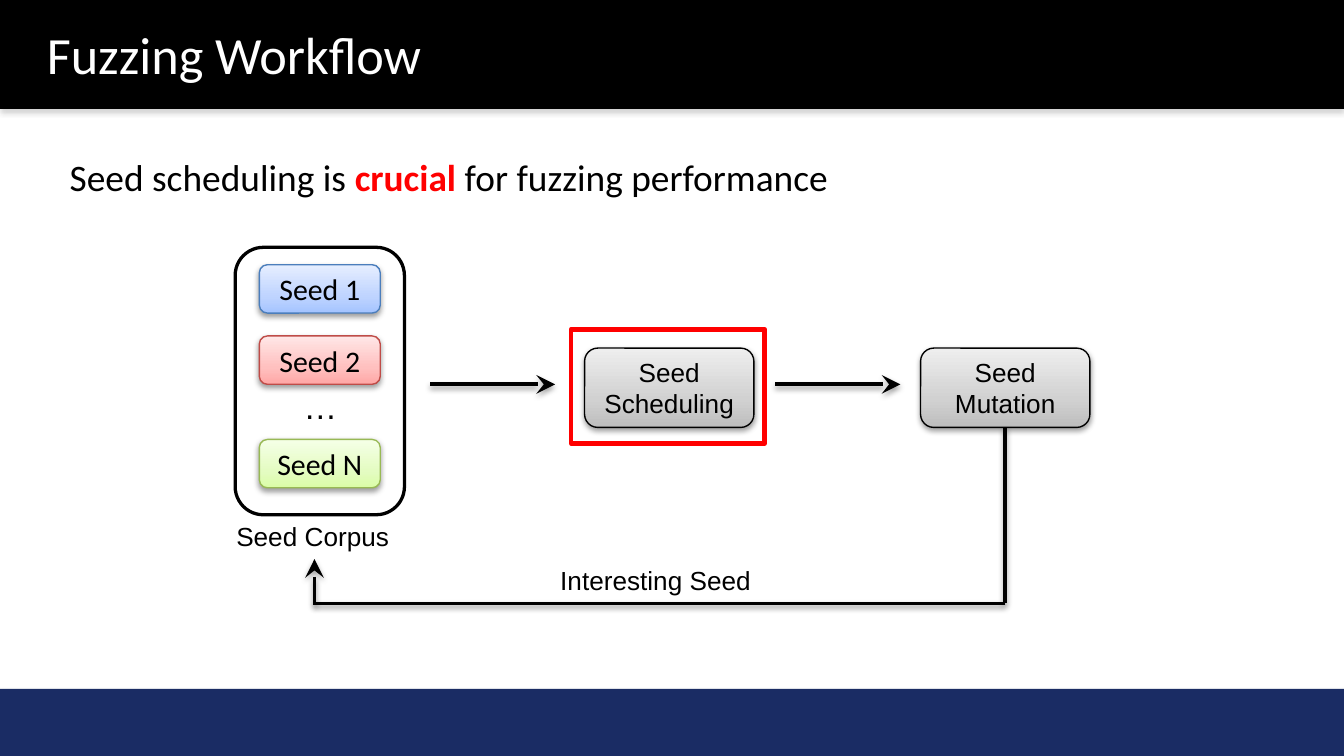
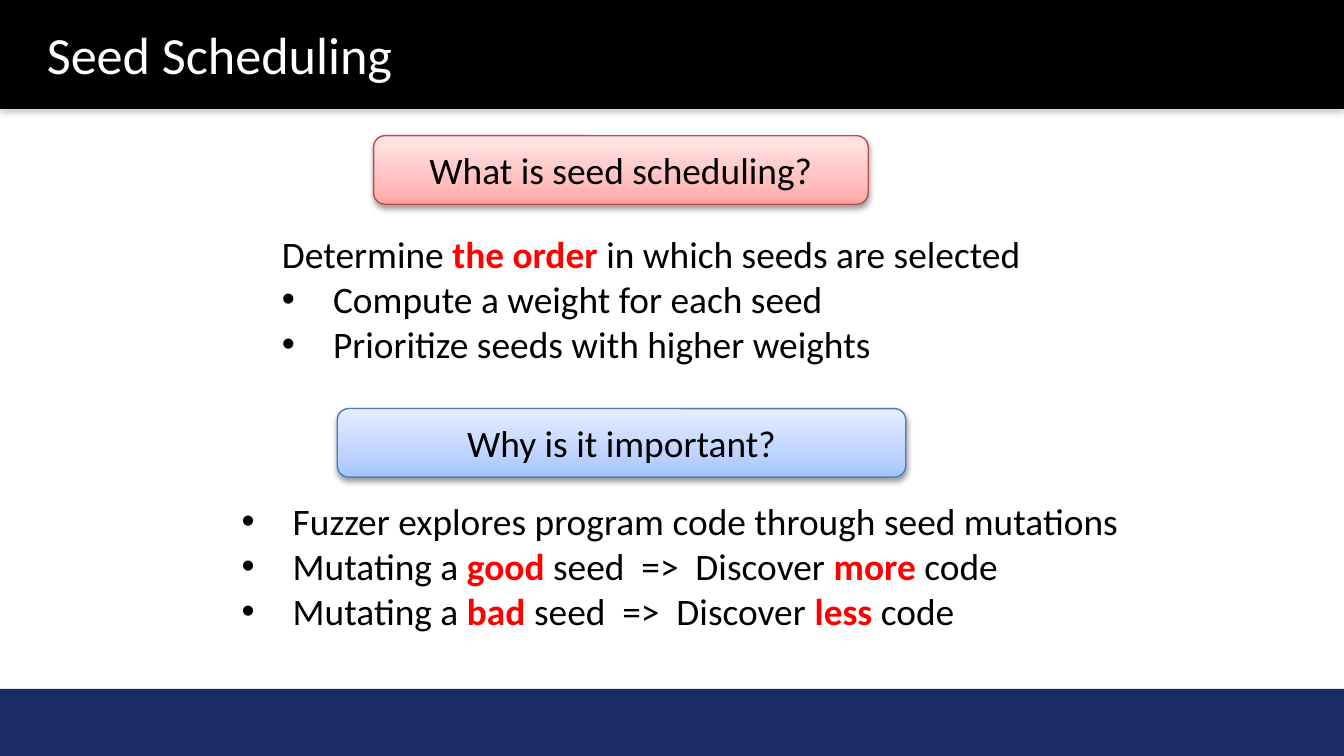
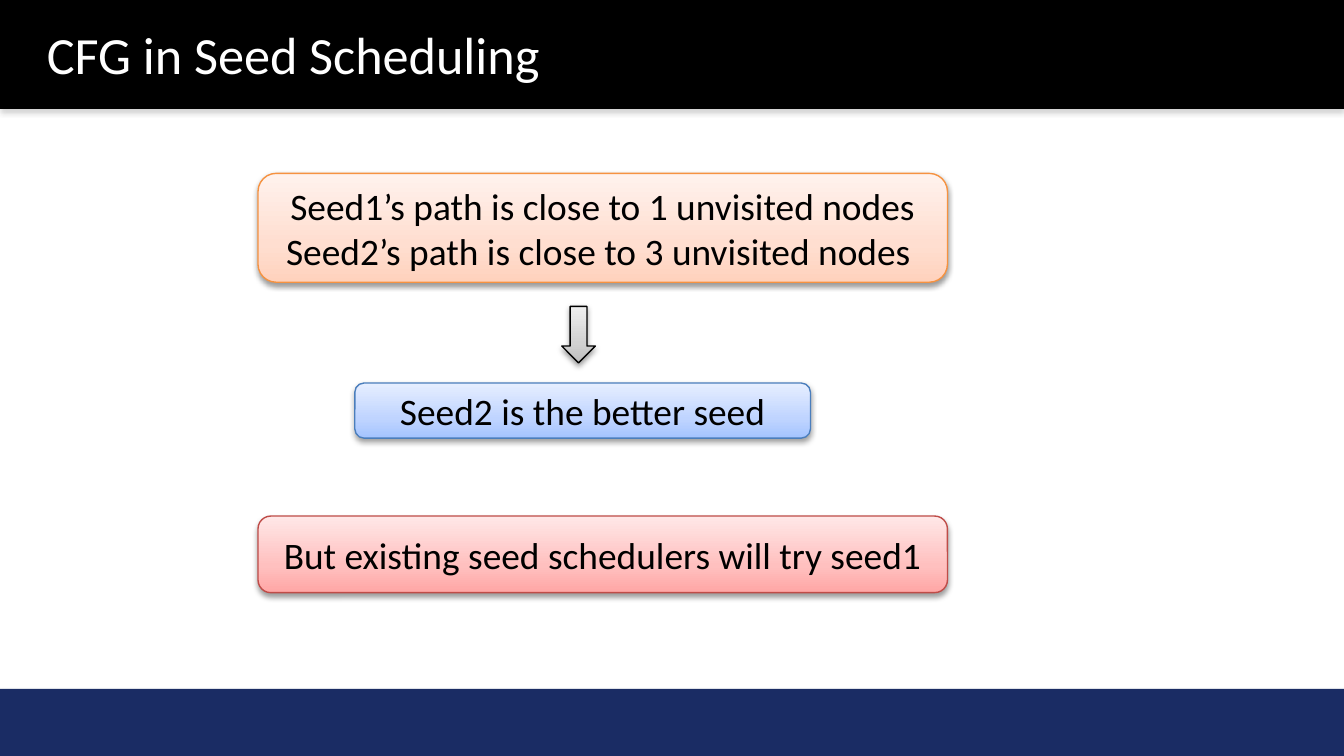
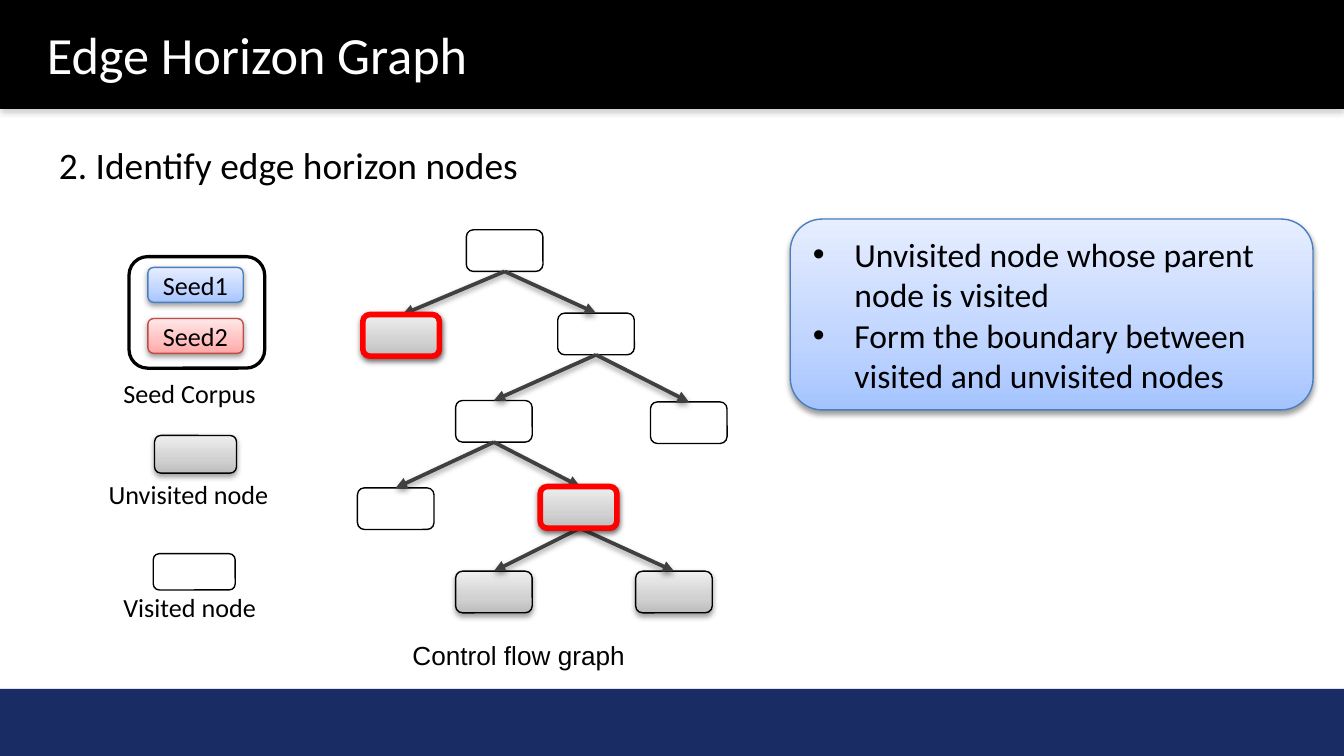
from copy import deepcopy

from pptx import Presentation
from pptx.dml.color import RGBColor
from pptx.enum.shapes import MSO_CONNECTOR as CONN, MSO_SHAPE as SHAPE
from pptx.enum.text import MSO_ANCHOR as ANCHOR, MSO_AUTO_SIZE as AUTO, PP_ALIGN as ALIGN
from pptx.oxml.ns import qn
from pptx.oxml.xmlchemy import OxmlElement as Element
from pptx.util import Inches, Pt

WIDTH = 10
HEIGHT = WIDTH * 9 / 16
FOOTER = 0.5
COLORS = {
    "black": "000000", "white": "FFFFFF", "red": "FF0000", "navy": "1A2C64",
    "edge": "404040", "band_shadow": "808080",
}
# Gradient stops from bottom to top, then the outline
GRADIENTS = {
    "blue": ("A4C4FF", "BFD4FF", "E6EEFF", "4B7EBC"),
    "pink": ("FFA6A5", "FFC0BF", "FFE7E7", "BF4C48"),
    "green": ("DAFDA7", "E4FCC2", "F5FFE7", "98B955"),
    "orange": ("FFD2BD", "FFDED0", "FFF2ED", "F69240"),
    "gray": ("BDBDBD", "D1D1D1", "EEEEEE", "000000"),
}
STOPS = (0, 0.35, 1)
SANS, BODY = "Arial", "Calibri"


def rgb(name):
    return RGBColor.from_string(COLORS.get(name, name))


class Deck:
    def __init__(self):
        self.prs = Presentation()
        self.prs.slide_width, self.prs.slide_height = Inches(WIDTH), Inches(HEIGHT)
        self.slide = None

    def new_slide(self, title, title_width=6.46):
        self.slide = self.prs.slides.add_slide(self.prs.slide_layouts[6])
        for top, height, color in ((0, 0.81, "black"), (HEIGHT - FOOTER, FOOTER, "navy")):
            band = self.shape((0, top, WIDTH, height), SHAPE.RECTANGLE, color, None)
            self.shadow(band, "band_shadow", 35, 1.8)
        self.text((0.25, 0.12, title_width, 0.57), [title], 28, color="white", inset=0.05)

    def shadow(self, sp, color="black", alpha=38, dist=1.6):
        """Cast a soft shadow straight down; it must follow fill and line."""
        sp_pr = sp._element.spPr
        effects = sp_pr.find(qn("a:effectLst"))
        if effects is None:
            effects = Element("a:effectLst")
            sp_pr.append(effects)
        outer = Element("a:outerShdw")
        for key, value in (("blurRad", Pt(3.1)), ("dist", Pt(dist)), ("dir", 90 * 60000),
                           ("algn", "ctr"), ("rotWithShape", 0)):
            outer.set(key, str(value))
        clr, opacity = Element("a:srgbClr"), Element("a:alpha")
        clr.set("val", COLORS[color])
        opacity.set("val", str(alpha * 1000))
        clr.append(opacity)
        outer.append(clr)
        effects.append(outer)

    def shape(self, at, kind=SHAPE.ROUNDED_RECTANGLE, fill=None, line="black", width=0.75):
        sp = self.slide.shapes.add_shape(kind, *map(Inches, at))
        sp.shadow.inherit = False
        if fill:
            sp.fill.solid()
            sp.fill.fore_color.rgb = rgb(fill)
        else:
            sp.fill.background()
        if line:
            sp.line.color.rgb = rgb(line)
            sp.line.width = Pt(width)
        else:
            sp.line.fill.background()
        return sp

    def glossy(self, at, style, text=None, size=20, font=BODY, kind=SHAPE.ROUNDED_RECTANGLE,
               line=None, width=0.75, bullet=None):
        """Gradient shape with a shadow; text may be a string or bullet paragraphs."""
        *stops, outline = GRADIENTS[style]
        sp = self.shape(at, kind, None, line or outline, width)
        sp.fill.gradient()
        sp.fill.gradient_angle = 90
        gs_list = sp._element.spPr.find(qn("a:gradFill")).find(qn("a:gsLst"))
        gs_list.insert(1, deepcopy(gs_list[0]))
        for stop, position, color in zip(sp.fill.gradient_stops, STOPS, stops):
            stop.position = position
            stop.color.rgb = rgb(color)
        self.shadow(sp)
        if text:
            sp.text_frame.vertical_anchor = ANCHOR.MIDDLE
            paragraphs = [text] if isinstance(text, str) else text
            self.fill_text(sp.text_frame, paragraphs, size, font, "black",
                           ALIGN.LEFT if bullet else ALIGN.CENTER, bullet)
        return sp

    def fill_text(self, tf, paragraphs, size, font, color, align=ALIGN.LEFT, bullet=None):
        """Write paragraphs: *stars* mark red bold, a leading • a bullet."""
        for i, text in enumerate(paragraphs):
            p = tf.add_paragraph() if i else tf.paragraphs[0]
            p.alignment = align
            if text.startswith("•"):
                text = text[1:]
                self.bullet(p, bullet)
            for j, part in enumerate(text.split("*")):
                if part:
                    r = p.add_run()
                    r.text = part
                    r.font.name, r.font.size, r.font.bold = font, Pt(size), j % 2 == 1
                    r.font.color.rgb = rgb("red" if j % 2 else color)

    def bullet(self, p, indent):
        p_pr = p._p.get_or_add_pPr()
        p_pr.set("marL", str(Inches(indent)))
        p_pr.set("indent", str(-Inches(indent)))
        for tag, key, value in (("a:buFont", "typeface", SANS), ("a:buChar", "char", "•")):
            mark = Element(tag)
            mark.set(key, value)
            p_pr.append(mark)

    def text(self, at, paragraphs, size=20, font=BODY, color="black", inset=0.1):
        tf = self.slide.shapes.add_textbox(*map(Inches, at)).text_frame
        tf.word_wrap = True
        tf.margin_top = tf.margin_bottom = Inches(inset)
        self.fill_text(tf, paragraphs, size, font, color, bullet=0.38)

    def label(self, at, text, size=14, font=BODY):
        tf = self.slide.shapes.add_textbox(*map(Inches, at)).text_frame
        tf.word_wrap = False
        tf.auto_size = AUTO.SHAPE_TO_FIT_TEXT
        self.fill_text(tf, [text], size, font, "black")

    def line(self, start=(0, 0), end=(0, 0), color="black", head=None, tail=None,
             tip_size="lg", nodes=None):
        """Draw a line between points, or from the bottom of one node to the top of another."""
        cx = self.slide.shapes.add_connector(CONN.STRAIGHT, *map(Inches, (*start, *end)))
        if nodes:
            cx.begin_connect(nodes[0], 2)
            cx.end_connect(nodes[1], 0)
        cx.line.color.rgb = rgb(color)
        cx.line.width = Pt(2)
        for tag, kind in (("a:headEnd", head), ("a:tailEnd", tail)):
            if kind:
                tip = Element(tag)
                for key, value in (("type", kind), ("w", tip_size), ("len", tip_size)):
                    tip.set(key, value)
                cx.line._get_or_add_ln().append(tip)
        self.shadow(cx)


def workflow(deck):
    deck.new_slide("Fuzzing Workflow")
    deck.text((0.42, 1.05, 9.58, 0.64), ["Seed scheduling is *crucial *for fuzzing performance"])

    # Seed corpus
    deck.shape((1.75, 1.84, 1.26, 1.99), fill="white", width=1.75)
    for top, style, name in ((1.97, "blue", "Seed 1"), (2.5, "pink", "Seed 2"),
                             (3.27, "green", "Seed N")):
        deck.glossy((1.93, top, 0.9, 0.36), style, name, 16)
    deck.label((2.16, 2.82, 0.45, 0.4), "…", 18, SANS)
    deck.label((1.66, 3.82, 1.34, 0.34), "Seed Corpus", font=SANS)

    # Steps, with the scheduling step framed
    deck.shape((4.25, 2.45, 1.44, 0.85), SHAPE.RECTANGLE, "white", "red", 2.5)
    for left, name in ((4.35, "Seed Scheduling"), (6.85, "Seed Mutation")):
        deck.glossy((left, 2.59, 1.26, 0.59), "gray", name, 14, SANS)
    for left in (3.2, 5.77):
        deck.line((left, 2.86), (left + 0.93, 2.86), tail="stealth")

    # Feedback loop
    deck.line((7.48, 4.49), (2.34, 4.49))
    deck.line((7.48, 3.18), (7.48, 4.49))
    deck.line((2.34, 4.16), (2.34, 4.5), head="stealth")
    deck.label((4.07, 4.15, 1.63, 0.34), "Interesting Seed", font=SANS)


def scheduling(deck):
    deck.new_slide("Seed Scheduling")
    deck.text((2, 1.62, 5.84, 1.35), [
        "Determine *the order *in which seeds are selected",
        "•Compute a weight for each seed",
        "•Prioritize seeds with higher weights",
    ])
    deck.glossy((2.78, 1.01, 3.68, 0.51), "pink", "What is seed scheduling?")
    deck.glossy((2.51, 3.04, 4.23, 0.51), "blue", "Why is it important?")
    deck.text((1.7, 3.61, 8.04, 1.35), [
        "•Fuzzer explores program code through seed mutations",
        "•Mutating a *good *seed  =>  Discover *more* code",
        "•Mutating a *bad *seed  =>  Discover *less *code",
    ])


def cfg_scheduling(deck):
    deck.new_slide("CFG in Seed Scheduling", 8.17)
    deck.glossy((1.92, 1.29, 5.13, 0.81), "orange",
                "Seed1’s path is close to 1 unvisited nodes "
                "Seed2’s path is close to 3 unvisited nodes ")
    deck.glossy((2.64, 2.85, 3.39, 0.41), "blue", "Seed2 is the better seed")
    deck.glossy((4.18, 2.28, 0.25, 0.42), "gray", kind=SHAPE.DOWN_ARROW)
    deck.glossy((1.92, 3.84, 5.13, 0.57), "pink", "But existing seed schedulers will try seed1")


def horizon_graph(deck):
    deck.new_slide("Edge Horizon Graph")
    deck.text((0.34, 0.96, 8.38, 0.64), ["2. Identify edge horizon nodes"])

    # Control flow graph: position and parent of each node
    size = (0.57, 0.31)
    tree = {
        "root": (3.47, 1.71, None), "left": (2.71, 2.34, "root"), "right": (4.15, 2.33, "root"),
        "inner": (3.39, 2.98, "right"), "far": (4.84, 2.99, "right"),
        "leaf": (2.66, 3.63, "inner"), "lower": (4.03, 3.62, "inner"),
        "end_left": (3.39, 4.25, "lower"), "end_right": (4.73, 4.25, "lower"),
    }
    unvisited = ("left", "lower", "end_left", "end_right")
    nodes = {}
    for name, (x, y, _) in tree.items():
        at = (x, y, *size)
        nodes[name] = deck.glossy(at, "gray") if name in unvisited else deck.shape(at)
    for name, (_, _, parent) in tree.items():
        if parent:
            deck.line(color="edge", tail="triangle", tip_size="med",
                      nodes=(nodes[parent], nodes[name]))
    for name in ("left", "lower"):
        x, y, _ = tree[name]
        deck.glossy((x - 0.01, y, *size), "gray", line="red", width=3)
    deck.label((2.97, 4.71, 1.79, 0.34), "Control flow graph", font=SANS)

    # Seed corpus and legend
    deck.shape((0.96, 1.91, 1.01, 0.83), fill="white", width=1.75)
    for top, style, name in ((1.99, "blue", "Seed1"), (2.37, "pink", "Seed2")):
        deck.glossy((1.1, top, 0.71, 0.26), style, name, 14)
    deck.label((0.82, 2.76, 1.2, 0.34), "Seed Corpus")
    deck.glossy((1.15, 3.24, 0.61, 0.28), "gray")
    deck.label((0.71, 3.51, 1.41, 0.34), "Unvisited node")
    deck.shape((1.14, 4.12, 0.61, 0.27))
    deck.label((0.82, 4.35, 1.2, 0.34), "Visited node")

    # Definition
    deck.glossy((5.88, 1.63, 3.89, 1.42), "blue", [
        "•Unvisited node whose parent node is visited",
        "•Form the boundary between visited and unvisited nodes",
    ], 18, bullet=0.31)


def main():
    deck = Deck()
    for build in (workflow, scheduling, cfg_scheduling, horizon_graph):
        build(deck)
    deck.prs.save("out.pptx")


if __name__ == "__main__":
    main()
